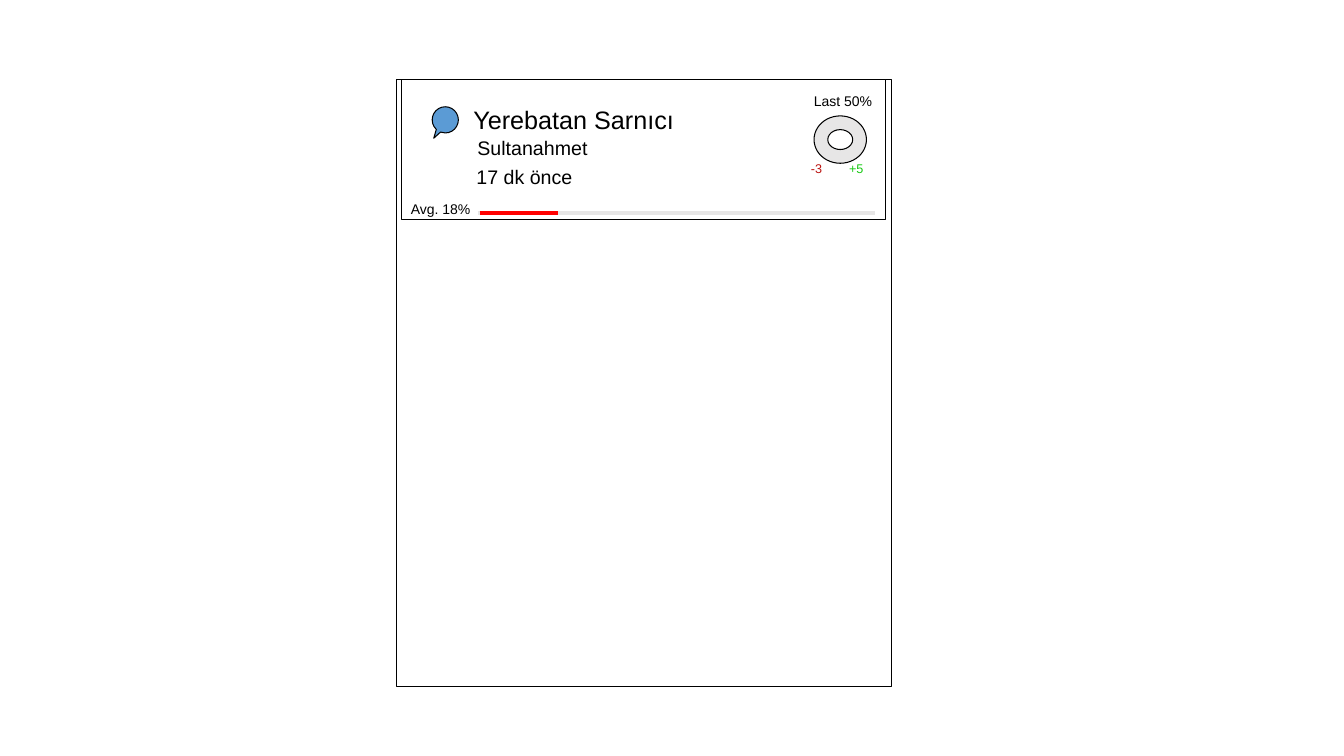
from lxml.etree import SubElement
from pptx import Presentation
from pptx.dml.color import RGBColor
from pptx.enum.shapes import MSO_CONNECTOR, MSO_SHAPE
from pptx.oxml.ns import qn
from pptx.util import Inches, Pt

COLORS = {"black": "000000", "white": "FFFFFF", "gray": "E7E6E6", "red": "FF0000",
          "blue": "5B9BD5", "loss": "BB120F", "gain": "17C913"}

SHAPES = [
    (MSO_SHAPE.RECTANGLE, (3.94, 0.79, 4.91, 6.02), "white", ()),
    (MSO_SHAPE.RECTANGLE, (3.99, 0.79, 4.8, 1.39), "white", ()),
    (MSO_SHAPE.DONUT, (8.08, 1.15, 0.52, 0.47), "gray", (0.29,)),
    (MSO_SHAPE.OVAL_CALLOUT, (4.29, 1.06, 0.26, 0.26), "blue", (-0.44, 0.7)),
]

BAR_Y = 2.11
BARS = [(4.74, 8.69, "gray"), (4.76, 5.54, "red")]

LABELS = [
    ("Yerebatan Sarnıcı", (4.6, 0.99, 2.82, 0.4), 18, "black"),
    ("Sultanahmet", (4.64, 1.3, 2.82, 0.34), 14, "black"),
    ("17 dk önce", (4.63, 1.59, 2.82, 0.34), 14, "black"),
    ("Avg. 18%", (3.98, 1.94, 0.91, 0.27), 10, "black"),
    ("Last 50%", (7.98, 0.87, 0.91, 0.27), 10, "black"),
    ("-3", (7.95, 1.55, 0.45, 0.25), 9, "loss"),
    ("+5", (8.33, 1.55, 0.46, 0.25), 9, "gain"),
]


def color(name):
    """Return the named color."""
    return RGBColor.from_string(COLORS[name])


def add_shape(slide, kind, box, fill, adjust):
    """Add an outlined shape."""
    shape = slide.shapes.add_shape(kind, *map(Inches, box))
    shape.shadow.inherit = False
    shape.fill.solid()
    shape.fill.fore_color.rgb = color(fill)
    shape.line.color.rgb = color("black")
    shape.line.width = Pt(0.75)
    for index, value in enumerate(adjust):
        shape.adjustments[index] = value


def add_bar(slide, start, end, tint):
    """Add one stretch of the level bar."""
    bar = slide.shapes.add_connector(
        MSO_CONNECTOR.STRAIGHT, *map(Inches, (start, BAR_Y, end, BAR_Y)))
    bar.line.color.rgb = color(tint)
    bar.line.width = Pt(3)
    SubElement(bar.element.spPr, qn("a:effectLst"))


def add_label(slide, text, box, size, tint):
    """Add one line of text."""
    frame = slide.shapes.add_textbox(*map(Inches, box)).text_frame
    frame.word_wrap = True
    line = frame.paragraphs[0]
    line.text = text
    line.font.name = "Arial"
    line.font.size = Pt(size)
    line.font.color.rgb = color(tint)


def main():
    """Build the place card slide."""
    deck = Presentation()
    deck.slide_width, deck.slide_height = Inches(13.34), Inches(7.5)
    slide = deck.slides.add_slide(deck.slide_layouts[6])
    for shape in SHAPES:
        add_shape(slide, *shape)
    for bar in BARS:
        add_bar(slide, *bar)
    for label in LABELS:
        add_label(slide, *label)
    deck.save("out.pptx")


if __name__ == "__main__":
    main()
